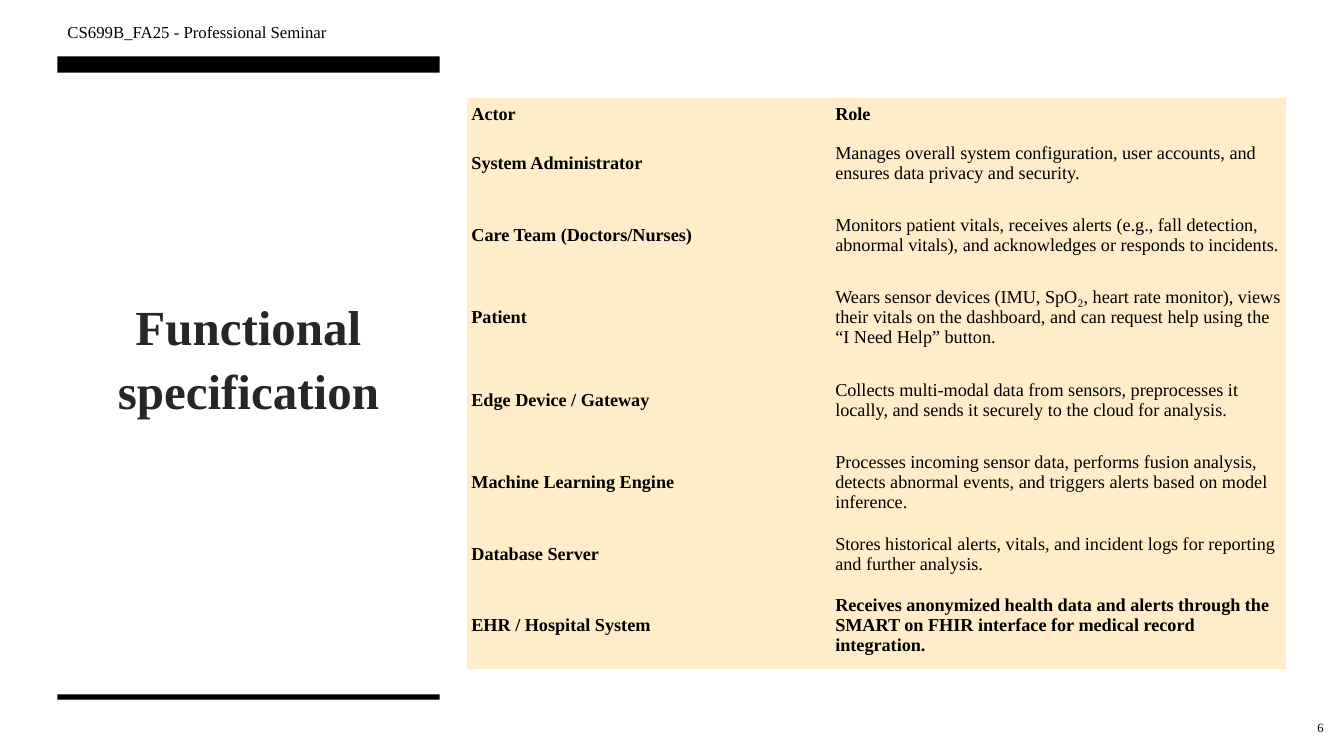
import pptx
import pptx.util
import pptx.dml.color
import pptx.enum.shapes
import pptx.enum.text
from dataclasses import dataclass

Cm, Pt = pptx.util.Cm, pptx.util.Pt
RGB = pptx.dml.color.RGBColor
ALIGN = pptx.enum.text.PP_ALIGN
ANCHOR = pptx.enum.text.MSO_ANCHOR

COURSE = "CS699B_FA25 - Professional Seminar"
TITLE = "Functional specification"
PAGE = "6"
ROLES = [
    ("Actor", "Role"),
    ("System Administrator",
     "Manages overall system configuration, user accounts, and ensures data privacy and security."),
    ("Care Team (Doctors/Nurses)",
     "Monitors patient vitals, receives alerts (e.g., fall detection, abnormal vitals), "
     "and acknowledges or responds to incidents."),
    ("Patient",
     "Wears sensor devices (IMU, SpO₂, heart rate monitor), views their vitals on the dashboard, "
     "and can request help using the “I Need Help” button."),
    ("Edge Device / Gateway",
     "Collects multi-modal data from sensors, preprocesses it locally, "
     "and sends it securely to the cloud for analysis."),
    ("Machine Learning Engine",
     "Processes incoming sensor data, performs fusion analysis, detects abnormal events, "
     "and triggers alerts based on model inference."),
    ("Database Server",
     "Stores historical alerts, vitals, and incident logs for reporting and further analysis."),
    ("EHR / Hospital System",
     "Receives anonymized health data and alerts through the SMART on FHIR interface "
     "for medical record integration."),
]
SHORT, TALL = 1.52, 2.08
ROW_HEIGHTS = [0.96, SHORT, TALL, TALL, TALL, TALL, SHORT, TALL]
COL_WIDTHS = [9.17, 11.48]
BOLD_ROWS = (0, len(ROLES) - 1)

SLIDE_W, SLIDE_H = 33.87, 19.05
PANEL_X, PANEL_W = 1.45, 9.63
BARS = [(1.42, 0.41), (17.5, 0.13)]


@dataclass
class Theme:
    font: str = "Times New Roman"
    paper: str = "FFFFFF"
    ink: str = "000000"
    heading: str = "262626"
    table: str = "FFECC8"
    title_size: int = 35
    cell_size: int = 13
    course_size: int = 12
    page_size: int = 9


theme = Theme()


def write(tf, text, size, color=theme.ink, bold=False, **para_format):
    p = tf.paragraphs[0]
    for name, value in para_format.items():
        setattr(p, name, value)
    r = p.add_run()
    r.text = text
    for name, value in {"name": theme.font, "size": Pt(size), "bold": bold}.items():
        setattr(r.font, name, value)
    r.font.color.rgb = RGB.from_string(color)


def add_bar(s, x, y, w, h, color):
    sp = s.shapes.add_shape(pptx.enum.shapes.MSO_SHAPE.RECTANGLE, Cm(x), Cm(y), Cm(w), Cm(h))
    sp.shadow.inherit = False
    sp.fill.solid()
    sp.fill.fore_color.rgb = RGB.from_string(color)
    sp.line.fill.background()


def add_text(s, box, text, size, anchor=ANCHOR.MIDDLE, **style):
    tf = s.shapes.add_textbox(*map(Cm, box)).text_frame
    tf.word_wrap = True
    tf.vertical_anchor = anchor
    write(tf, text, size, **style)


def add_roles(s, x, y):
    frame = s.shapes.add_table(len(ROLES), len(COL_WIDTHS), Cm(x), Cm(y),
                               Cm(sum(COL_WIDTHS)), Cm(sum(ROW_HEIGHTS)))
    table = frame.table
    table.first_row = table.horz_banding = False
    for col, width in zip(table.columns, COL_WIDTHS):
        col.width = Cm(width)
    cell_format = {"margin_left": Cm(0.12), "margin_right": Cm(0.12), "margin_top": Cm(0.08),
                   "margin_bottom": Cm(0.2), "vertical_anchor": ANCHOR.MIDDLE}
    for i, (texts, height) in enumerate(zip(ROLES, ROW_HEIGHTS)):
        table.rows[i].height = Cm(height)
        for j, text in enumerate(texts):
            cell = table.cell(i, j)
            for name, value in cell_format.items():
                setattr(cell, name, value)
            cell.fill.solid()
            cell.fill.fore_color.rgb = RGB.from_string(theme.table)
            write(cell.text_frame, text, theme.cell_size, bold=j == 0 or i in BOLD_ROWS)
    # The default style draws white rules; the plain style has none.
    style_id = frame._element.xpath(".//a:tableStyleId")[0]
    style_id.text = "{2D5ABB26-0587-4C30-8999-92F81FD0307C}"


def main():
    prs = pptx.Presentation()
    prs.slide_width, prs.slide_height = Cm(SLIDE_W), Cm(SLIDE_H)
    s = prs.slides.add_slide(prs.slide_layouts[6])
    add_bar(s, 0, 0, SLIDE_W, SLIDE_H, theme.paper)
    add_text(s, (PANEL_X, 7.24, PANEL_W, 6.81), TITLE, theme.title_size, ANCHOR.TOP,
             color=theme.heading, bold=True, alignment=ALIGN.CENTER,
             line_spacing=1.08, space_after=Pt(6))
    for y, h in BARS:
        add_bar(s, PANEL_X, y, PANEL_W, h, theme.ink)
    add_roles(s, 11.76, 2.46)
    add_text(s, (PANEL_X, 0.28, 11.43, 1.02), COURSE, theme.course_size)
    add_text(s, (31.83, 17.83, 1.78, 1.02), PAGE, theme.page_size, alignment=ALIGN.RIGHT)
    prs.save("out.pptx")


if __name__ == "__main__":
    main()
